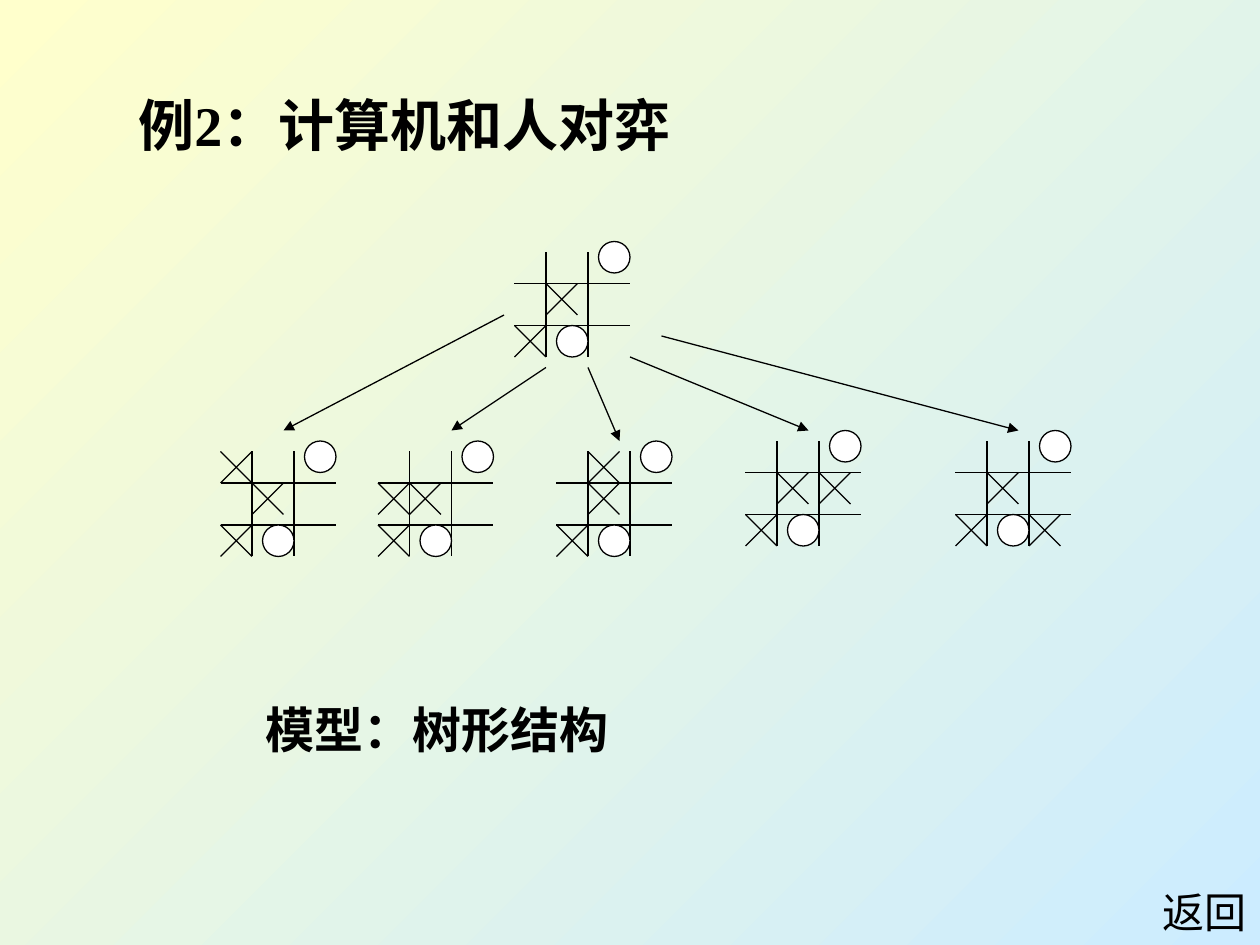
from dataclasses import dataclass

import pptx
import pptx.dml.color
import pptx.enum.shapes
import pptx.enum.text
import pptx.oxml
import pptx.oxml.ns
import pptx.shapes.connector
import pptx.shapes.shapetree
import pptx.slide
import pptx.util
from pptx.util import Inches

BLACK = pptx.dml.color.RGBColor(0x00, 0x00, 0x00)
WHITE = pptx.dml.color.RGBColor(0xFF, 0xFF, 0xFF)
PALE_BLUE = pptx.dml.color.RGBColor(0xCC, 0xEC, 0xFF)
PALE_YELLOW = pptx.dml.color.RGBColor(0xFF, 0xFF, 0xCC)
FONT = "Times New Roman"
LINE_WIDTH = pptx.util.Pt(0.75)

# The drawing sits on a grid of twelfths of an inch.
MARK = 3
BOARD_WIDTH = 11
BOARD_HEIGHT = 10
CELL_STARTS = (0, 3, 7)
Cell = tuple[int, int]  # column, row


@dataclass(frozen=True)
class Board:
    left: int
    top: int
    new_cross: Cell | None = None


@dataclass(frozen=True)
class Move:
    start: tuple[int, int]
    end: tuple[int, int]


@dataclass(frozen=True)
class Label:
    text: str
    left: float
    top: float
    width: float
    height: float
    size: int
    bold: bool


BOARDS = (
    Board(49, 24),
    Board(21, 43, (0, 0)),
    Board(36, 43, (0, 1)),
    Board(53, 43, (1, 0)),
    Board(71, 42, (2, 1)),
    Board(91, 42, (2, 2)),
)
MOVES = (
    Move((48, 30), (27, 41)),
    Move((52, 35), (43, 41)),
    Move((56, 35), (59, 42)),
    Move((60, 34), (77, 41)),
    Move((63, 32), (97, 41)),
)
LABELS = (
    Label("例2：计算机和人对弈", 1, 0.67, 7.43, 1.7, 32, True),
    Label("返回", 9.13, 6.99, 0.86, 0.5, 24, False),
    Label("模型：树形结构", 2.01, 5.5, 2.92, 0.57, 28, True),
)


def grid(units: int) -> pptx.util.Length:
    return Inches(units / 12)


def add_line(
    shapes: pptx.shapes.shapetree.GroupShapes | pptx.shapes.shapetree.SlideShapes,
    x1: int,
    y1: int,
    x2: int,
    y2: int,
) -> pptx.shapes.connector.Connector:
    connector = shapes.add_connector(
        pptx.enum.shapes.MSO_CONNECTOR.STRAIGHT, grid(x1), grid(y1), grid(x2), grid(y2)
    )
    connector.line.color.rgb = BLACK
    connector.line.width = LINE_WIDTH
    connector.element.spPr.append(
        pptx.oxml.parse_xml(f"<a:effectLst {pptx.oxml.ns.nsdecls('a')}/>")
    )
    return connector


def add_cross(
    shapes: pptx.shapes.shapetree.GroupShapes, left: int, top: int
) -> None:
    add_line(shapes, left, top, left + MARK, top + MARK)
    add_line(shapes, left + MARK, top, left, top + MARK)


def add_nought(
    shapes: pptx.shapes.shapetree.GroupShapes, left: int, top: int
) -> None:
    shape = shapes.add_shape(
        pptx.enum.shapes.MSO_SHAPE.OVAL, grid(left), grid(top), grid(MARK), grid(MARK)
    )
    shape.shadow.inherit = False
    shape.fill.solid()
    shape.fill.fore_color.rgb = WHITE
    shape.line.color.rgb = BLACK
    shape.line.width = LINE_WIDTH


def add_board(slide: pptx.slide.Slide, board: Board) -> None:
    shapes = slide.shapes.add_group_shape().shapes
    left, top = board.left, board.top
    for offset in CELL_STARTS[1:]:
        add_line(shapes, left, top + offset, left + BOARD_WIDTH, top + offset)
    for offset in CELL_STARTS[1:]:
        add_line(shapes, left + offset, top, left + offset, top + BOARD_HEIGHT)
    crosses = [(0, 2), (1, 1)]
    if board.new_cross is not None:
        crosses.append(board.new_cross)
    for column, row in crosses:
        add_cross(shapes, left + CELL_STARTS[column], top + CELL_STARTS[row])
    # Noughts sit slightly off the cell corners.
    add_nought(shapes, left + 4, top + 7)
    add_nought(shapes, left + 8, top - 1)


def add_move(slide: pptx.slide.Slide, move: Move) -> None:
    arrow = add_line(slide.shapes, *move.start, *move.end)
    line = arrow.element.spPr.find(pptx.oxml.ns.qn("a:ln"))
    line.append(
        pptx.oxml.parse_xml(
            f"<a:tailEnd {pptx.oxml.ns.nsdecls('a')} type='triangle'/>"
        )
    )


def add_label(slide: pptx.slide.Slide, label: Label) -> None:
    box = slide.shapes.add_textbox(
        Inches(label.left), Inches(label.top), Inches(label.width), Inches(label.height)
    )
    frame = box.text_frame
    frame.word_wrap = True
    frame.auto_size = pptx.enum.text.MSO_AUTO_SIZE.NONE
    # Leave spare width so that tight labels stay on one line.
    frame.margin_right = Inches(0)
    run = frame.paragraphs[0].add_run()
    run.text = label.text
    run.font.name = FONT
    run.font.size = pptx.util.Pt(label.size)
    run.font.bold = label.bold
    run.font.color.rgb = BLACK


def main() -> None:
    presentation = pptx.Presentation()
    presentation.slide_width = Inches(10)
    presentation.slide_height = Inches(7.5)
    slide = presentation.slides.add_slide(presentation.slide_layouts[6])

    # Background: blue at bottom right to yellow at top left
    fill = slide.background.fill
    fill.gradient()
    fill.gradient_angle = 135
    for stop, color, position in zip(
        fill.gradient_stops, (PALE_BLUE, PALE_YELLOW), (0, 1)
    ):
        stop.color.rgb = color
        stop.position = position

    # Game tree
    for board in BOARDS:
        add_board(slide, board)
    for move in MOVES:
        add_move(slide, move)

    # Title, return label and caption
    for label in LABELS:
        add_label(slide, label)

    presentation.save("out.pptx")


if __name__ == "__main__":
    main()
